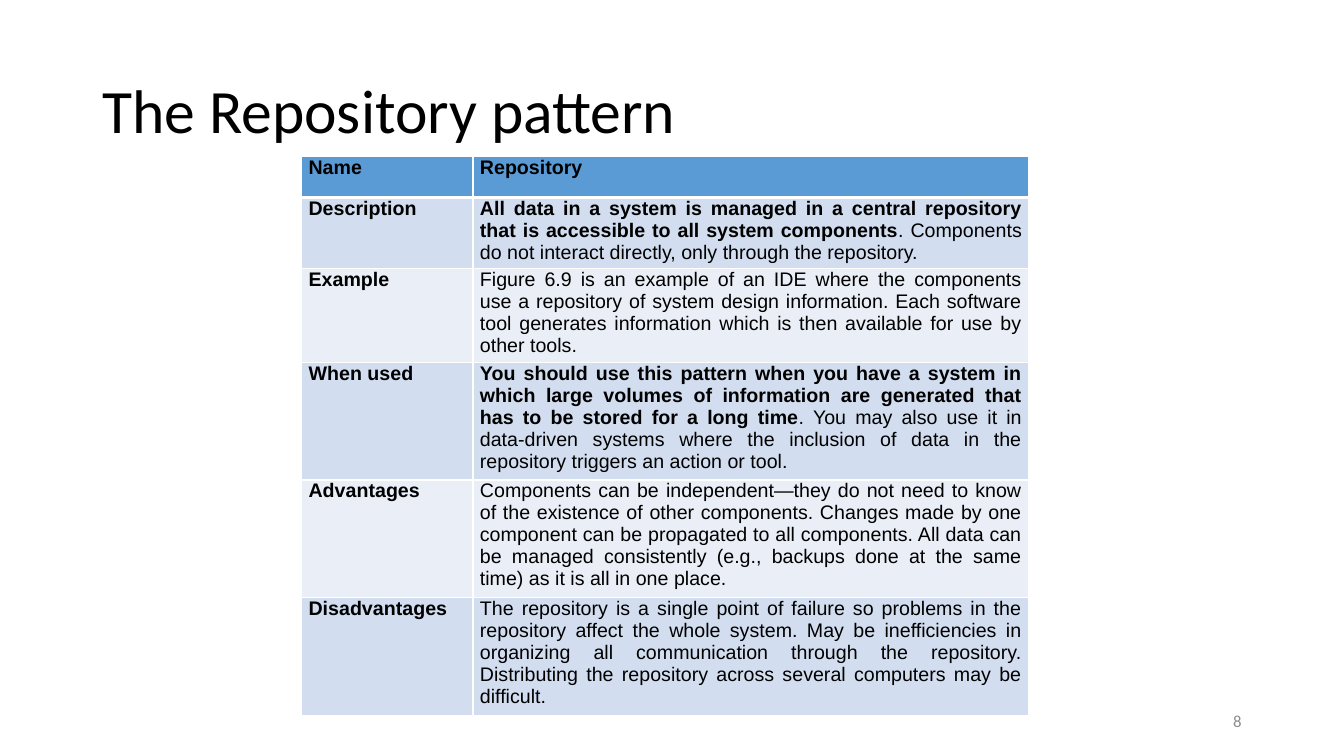
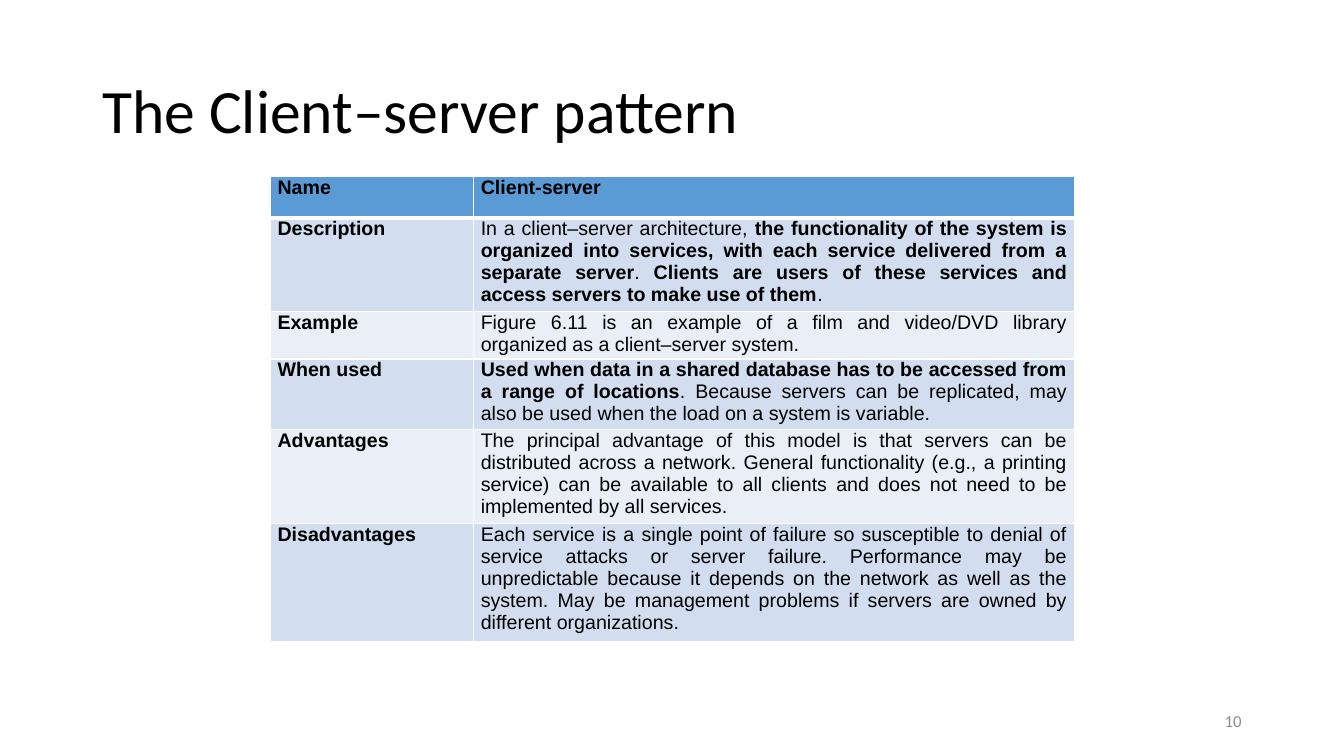
from dataclasses import dataclass

from lxml.etree import SubElement
from pptx import Presentation
from pptx.dml.color import RGBColor
from pptx.enum.text import MSO_ANCHOR, PP_ALIGN
from pptx.oxml.ns import qn
from pptx.util import Inches, Pt


@dataclass(frozen=True)
class Theme:
    ink: str = "000000"
    muted: str = "8C8C8C"
    header: str = "5B9BD5"
    bands: tuple = ("D2DEEF", "EAEFF7")
    border: str = "FFFFFF"
    heading_font: str = "Calibri"
    table_font: str = "Arial"
    title_size: int = 44
    table_size: int = 14
    number_size: int = 12
    thin_line: int = 1
    thick_line: int = 3


@dataclass(frozen=True)
class Pattern:
    title: str
    number: str
    left: float
    top: float
    height: float
    columns: tuple
    rows: tuple
    entries: tuple


THEME = Theme()
GRID_COLUMNS, GRID_ROWS = 160, 90
UNIT = Inches(1) / 12
TITLE_BOX = (11, 4.8, 138, 17.4)
NUMBER_BOX = (113, 83.4, 36, 4.8)
LABELS = ("Name", "Description", "Example", "When used", "Advantages", "Disadvantages")

REPOSITORY = Pattern(
    title="The Repository pattern",
    number="8",
    left=35.9,
    top=18.6,
    height=66.5,
    columns=(20.4, 66.2),
    rows=(4.92,) * 6,
    entries=(
        "*Repository*",
        "*All data in a system is managed in a central repository that is accessible to all "
        "system components*. Components do not interact directly, only through the repository.",
        "Figure 6.9 is an example of an IDE where the components use a repository of system "
        "design information. Each software tool generates information which is then available "
        "for use by other tools.",
        "*You should use this pattern when you have a system in which large volumes of "
        "information are generated that has to be stored for a long time*. You may also use it "
        "in data-driven systems where the inclusion of data in the repository triggers an "
        "action or tool.",
        "Components can be independent—they do not need to know of the existence of other "
        "components. Changes made by one component can be propagated to all components. All "
        "data can be managed consistently (e.g., backups done at the same time) as it is all "
        "in one place.",
        "The repository is a single point of failure so problems in the repository affect the "
        "whole system. May be inefficiencies in organizing all communication through the "
        "repository. Distributing the repository across several computers may be difficult.",
    ),
)

CLIENT_SERVER = Pattern(
    title="The Client–server pattern",
    number="10",
    left=32.2,
    top=21,
    height=55.3,
    columns=(24.2, 71.5),
    rows=(4.92, 4.44) + (4.92,) * 4,
    entries=(
        "*Client-server*",
        "In a client–server architecture, *the functionality of the system is organized into "
        "services, with each service delivered from a separate server*. *Clients are users of "
        "these services and access servers to make use of them*.",
        "Figure 6.11 is an example of a film and video/DVD library organized as a "
        "client–server system.",
        "*Used when data in a shared database has to be accessed from a range of locations*. "
        "Because servers can be replicated, may also be used when the load on a system is "
        "variable.",
        "The principal advantage of this model is that servers can be distributed across a "
        "network. General functionality (e.g., a printing service) can be available to all "
        "clients and does not need to be implemented by all services.",
        "Each service is a single point of failure so susceptible to denial of service attacks "
        "or server failure. Performance may be unpredictable because it depends on the network "
        "as well as the system. May be management problems if servers are owned by different "
        "organizations.",
    ),
)


def grid(*units):
    return [round(unit * UNIT) for unit in units]


def set_format(target, values):
    for name, value in values.items():
        setattr(target, name, value)


def add_run(paragraph, text, font, size, color, bold=False):
    run = paragraph.add_run()
    run.text = text
    set_format(run.font, {"name": font, "size": Pt(size), "bold": bold})
    run.font.color.rgb = RGBColor.from_string(color)


def add_label(slide, box, text, size, color, paragraph_format):
    frame = slide.shapes.add_textbox(*grid(*box)).text_frame
    set_format(frame, {"word_wrap": True, "vertical_anchor": MSO_ANCHOR.MIDDLE})
    paragraph = frame.paragraphs[0]
    set_format(paragraph, paragraph_format)
    add_run(paragraph, text, THEME.heading_font, size, color)


def add_borders(cell, bottom_width):
    properties = cell._tc.get_or_add_tcPr()
    widths = {"L": THEME.thin_line, "R": THEME.thin_line, "T": THEME.thin_line, "B": bottom_width}
    for side, width in widths.items():
        line = SubElement(properties, qn(f"a:ln{side}"), w=str(Pt(width)))
        fill = SubElement(line, qn("a:solidFill"))
        SubElement(fill, qn("a:srgbClr"), val=THEME.border)


def fill_cell(cell, marked_text, color, bottom_width):
    add_borders(cell, bottom_width)
    cell.fill.solid()
    cell.fill.fore_color.rgb = RGBColor.from_string(color)
    side = Inches(0.07)
    set_format(cell, {"margin_left": side, "margin_right": side, "margin_top": 0, "margin_bottom": 0})
    paragraph = cell.text_frame.paragraphs[0]
    paragraph.alignment = PP_ALIGN.JUSTIFY
    for index, text in enumerate(marked_text.split("*")):
        if text:
            add_run(paragraph, text, THEME.table_font, THEME.table_size, THEME.ink, index % 2 == 1)


def add_pattern_table(slide, pattern):
    box = grid(pattern.left, pattern.top, sum(pattern.columns), pattern.height)
    shape = slide.shapes.add_table(len(pattern.rows), len(pattern.columns), *box)
    table = shape.table
    for column, width in zip(table.columns, grid(*pattern.columns)):
        column.width = width
    for row, height in zip(table.rows, grid(*pattern.rows)):
        row.height = height
    shape.height = box[3]
    for index, (label, entry) in enumerate(zip(LABELS, pattern.entries)):
        color = THEME.bands[(index - 1) % 2] if index else THEME.header
        bottom_width = THEME.thin_line if index else THEME.thick_line
        for column, text in enumerate((f"*{label}*", entry)):
            fill_cell(table.cell(index, column), text, color, bottom_width)


def add_pattern_slide(presentation, pattern):
    slide = presentation.slides.add_slide(presentation.slide_layouts[6])
    add_label(slide, TITLE_BOX, pattern.title, THEME.title_size, THEME.ink, {"line_spacing": 0.9})
    add_pattern_table(slide, pattern)
    add_label(slide, NUMBER_BOX, pattern.number, THEME.number_size, THEME.muted,
              {"alignment": PP_ALIGN.RIGHT})


def main():
    presentation = Presentation()
    width, height = grid(GRID_COLUMNS, GRID_ROWS)
    set_format(presentation, {"slide_width": width, "slide_height": height})
    for pattern in (REPOSITORY, CLIENT_SERVER):
        add_pattern_slide(presentation, pattern)
    presentation.save("out.pptx")


main()
